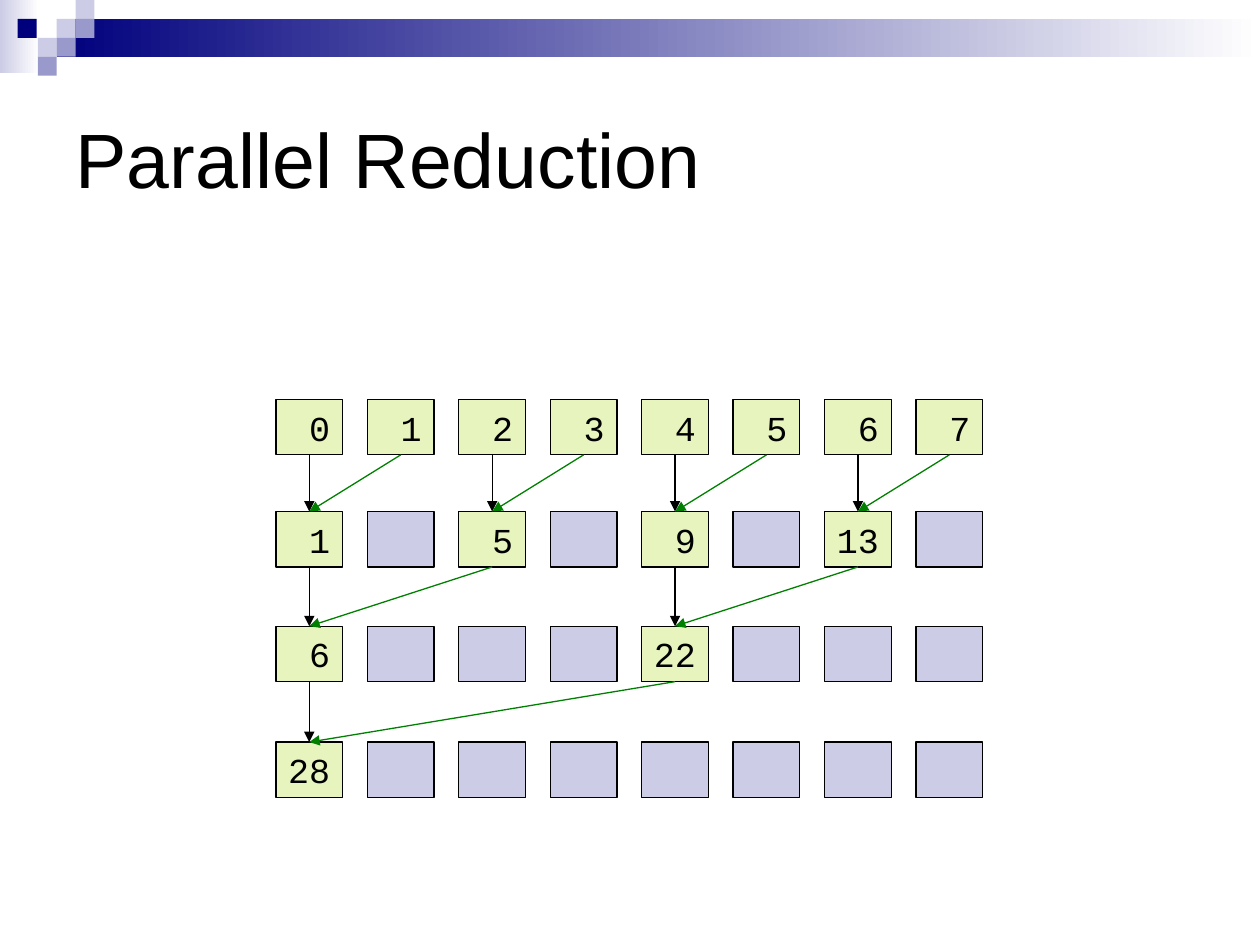
from pptx import Presentation
from pptx.dml.color import RGBColor
from pptx.enum.shapes import MSO_CONNECTOR, MSO_SHAPE
from pptx.enum.text import MSO_ANCHOR, PP_ALIGN
from pptx.oxml.ns import qn
from pptx.util import Inches, Pt
from lxml import etree

RECT = MSO_SHAPE.RECTANGLE
STRAIGHT = MSO_CONNECTOR.STRAIGHT
MIDDLE = MSO_ANCHOR.MIDDLE
LEFT, RIGHT = PP_ALIGN.LEFT, PP_ALIGN.RIGHT
TOP_SIDE, BOTTOM_SIDE = 0, 2

BLACK = RGBColor(0x00, 0x00, 0x00)
WHITE = RGBColor(0xFF, 0xFF, 0xFF)
NAVY = RGBColor(0x00, 0x00, 0x7D)
LAVENDER = RGBColor(0xCC, 0xCC, 0xE6)
PERIWINKLE = RGBColor(0x99, 0x99, 0xCC)
LIME = RGBColor(0xE7, 0xF4, 0xBE)
GREEN = RGBColor(0x00, 0x80, 0x00)

COLUMNS = 8
GRID_LEFT = 2.19
PITCH = (7.27 - GRID_LEFT) / (COLUMNS - 1)
ROW_TOPS = [3.17, 4.06, 4.97, 5.89]
CELL_W, CELL_H = 0.53, 0.44
SQUARE = 0.15

SQUARES = [
    (0.45, 0.15, LAVENDER),
    (0.6, 0, LAVENDER),
    (0.6, 0.15, PERIWINKLE),
    (0.3, 0.3, LAVENDER),
    (0.14, 0.15, NAVY),
    (0.45, 0.3, PERIWINKLE),
    (0.3, 0.45, PERIWINKLE),
]


class SlideBuilder:
    title_font = {"name": "Arial", "size": Pt(44)}
    cell_font = {"name": "Courier New", "size": Pt(20)}
    title_frame = {"vertical_anchor": MIDDLE, "word_wrap": True}
    cell_frame = {
        "vertical_anchor": MIDDLE,
        "word_wrap": True,
        "margin_left": Inches(0.05),
        "margin_right": Inches(0.1),
    }
    line_width = Pt(0.75)

    def __init__(self, slide):
        self.s = slide

    def add_text(self, sp, text, frame, font, align):
        tf = sp.text_frame
        for name, value in frame.items():
            setattr(tf, name, value)
        p = tf.paragraphs[0]
        p.alignment = align
        r = p.add_run()
        r.text = text
        for name, value in font.items():
            setattr(r.font, name, value)
        r.font.color.rgb = BLACK

    def title(self, text, x, y, w, h):
        sp = self.s.shapes.title
        sp.left, sp.top, sp.width, sp.height = map(Inches, (x, y, w, h))
        self.add_text(sp, text, self.title_frame, self.title_font, LEFT)

    def box(self, x, y, w, h, color):
        sp = self.s.shapes.add_shape(RECT, *map(Inches, (x, y, w, h)))
        sp.shadow.inherit = False
        sp.fill.solid()
        sp.fill.fore_color.rgb = color
        sp.line.fill.background()
        return sp

    def gradient_box(self, x, y, w, h, color):
        sp = self.box(x, y, w, h, color)
        sp.fill.gradient()
        sp.fill.gradient_angle = 0
        for stop, rgb in zip(sp.fill.gradient_stops, (color, WHITE)):
            stop.color.rgb = rgb

    def cell(self, x, y, text):
        sp = self.box(x, y, CELL_W, CELL_H, LIME if text else LAVENDER)
        sp.line.color.rgb = BLACK
        sp.line.width = self.line_width
        if text:
            self.add_text(sp, text, self.cell_frame, self.cell_font, RIGHT)
        return sp

    def arrow(self, source, target, color):
        cn = self.s.shapes.add_connector(STRAIGHT, 0, 0, 0, 0)
        cn.begin_connect(source, BOTTOM_SIDE)
        cn.end_connect(target, TOP_SIDE)
        cn.line.color.rgb = color
        cn.line.width = self.line_width
        sp_pr = cn.element.find(qn("p:spPr"))
        ln = sp_pr.find(qn("a:ln"))
        etree.SubElement(ln, qn("a:tailEnd"), type="triangle")
        etree.SubElement(sp_pr, qn("a:effectLst"))


def main():
    prs = Presentation()
    prs.slide_width, prs.slide_height = Inches(10), Inches(7.5)
    b = SlideBuilder(prs.slides.add_slide(prs.slide_layouts[5]))

    b.gradient_box(0, 0, 0.31, 0.58, LAVENDER)
    b.gradient_box(0.45, 0.15, 9.55, 0.3, NAVY)
    for x, y, color in SQUARES:
        b.box(x, y, SQUARE, SQUARE, color)
    b.title("Parallel Reduction", 0.5, 0.5, 9, 1.5)

    values = list(range(COLUMNS))
    rows = []
    for level, top in enumerate(ROW_TOPS):
        step = 2 ** level
        texts = [""] * COLUMNS
        texts[::step] = [str(value) for value in values]
        rows.append([b.cell(GRID_LEFT + PITCH * col, top, text)
                     for col, text in enumerate(texts)])
        values = [left + right for left, right in zip(values[::2], values[1::2])]

    for level, (upper, lower) in enumerate(zip(rows, rows[1:])):
        step = 2 ** level
        for col in range(0, COLUMNS, 2 * step):
            b.arrow(upper[col], lower[col], BLACK)
            b.arrow(upper[col + step], lower[col], GREEN)

    prs.save("out.pptx")


if __name__ == "__main__":
    main()
